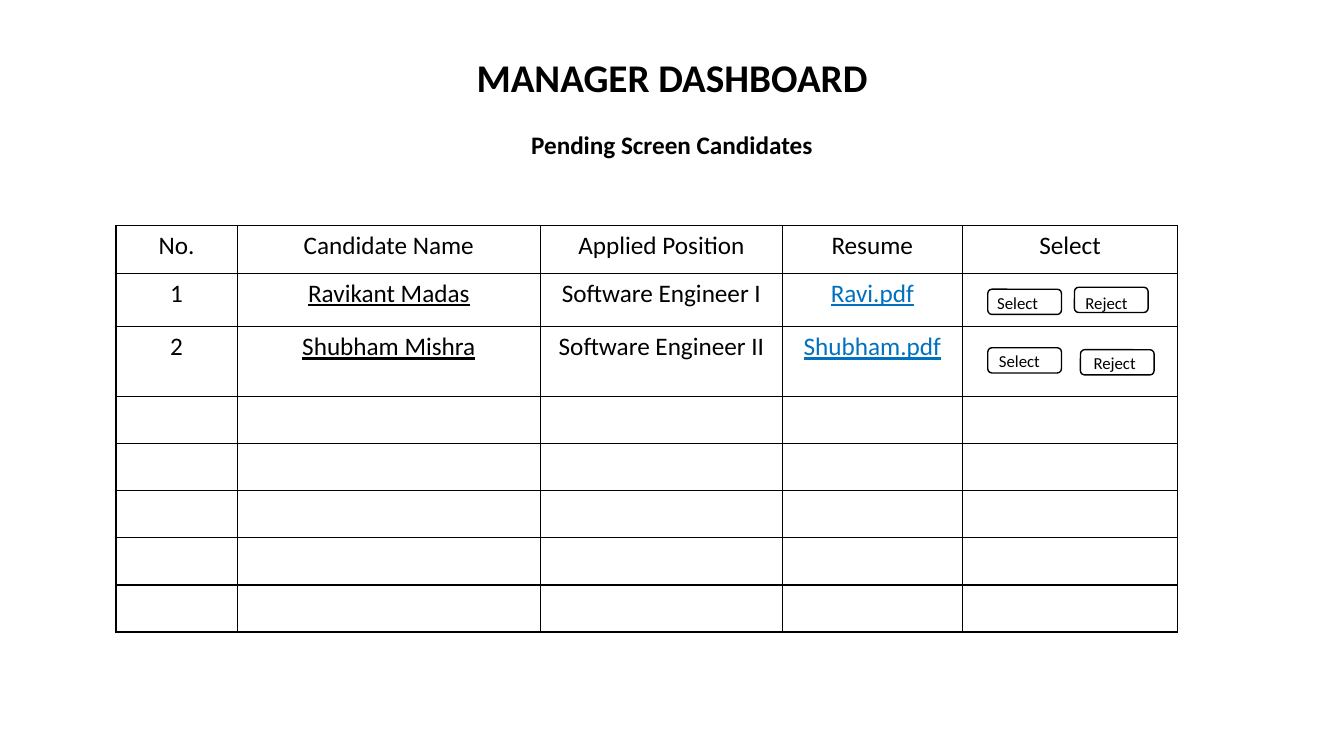
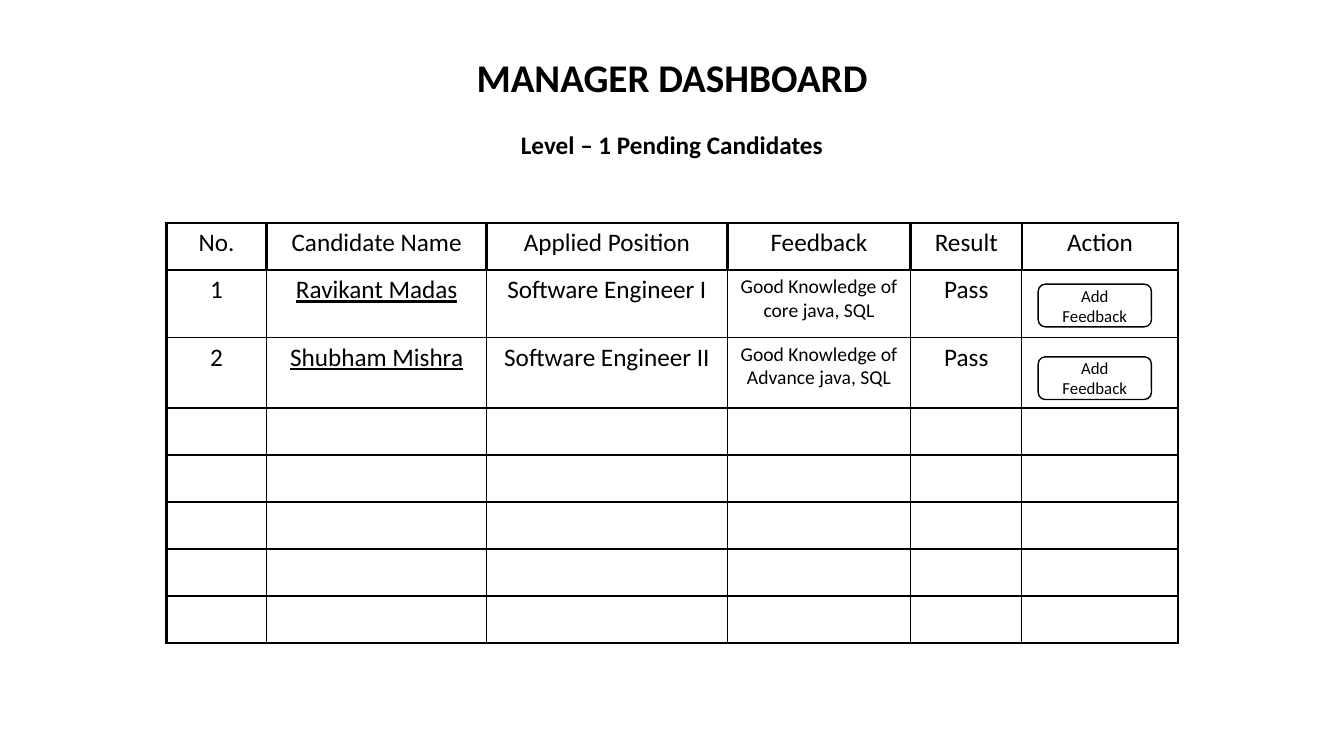
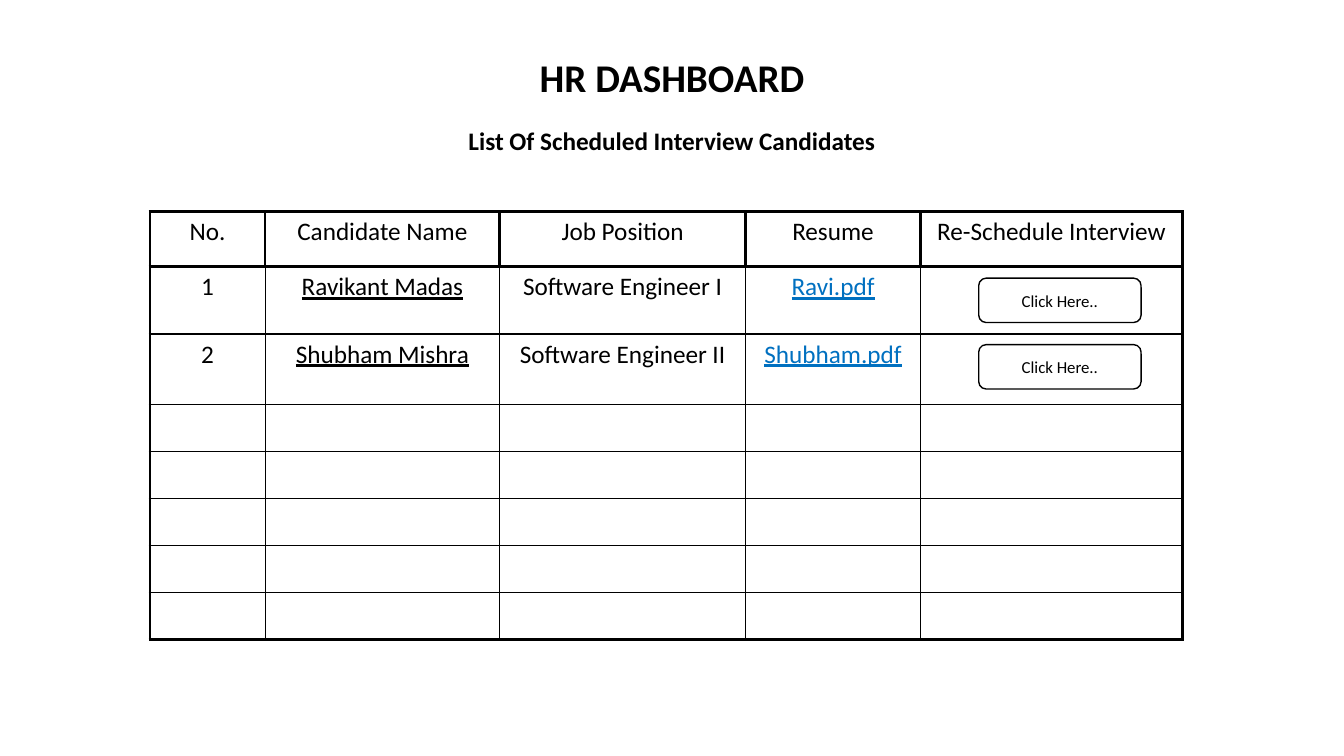
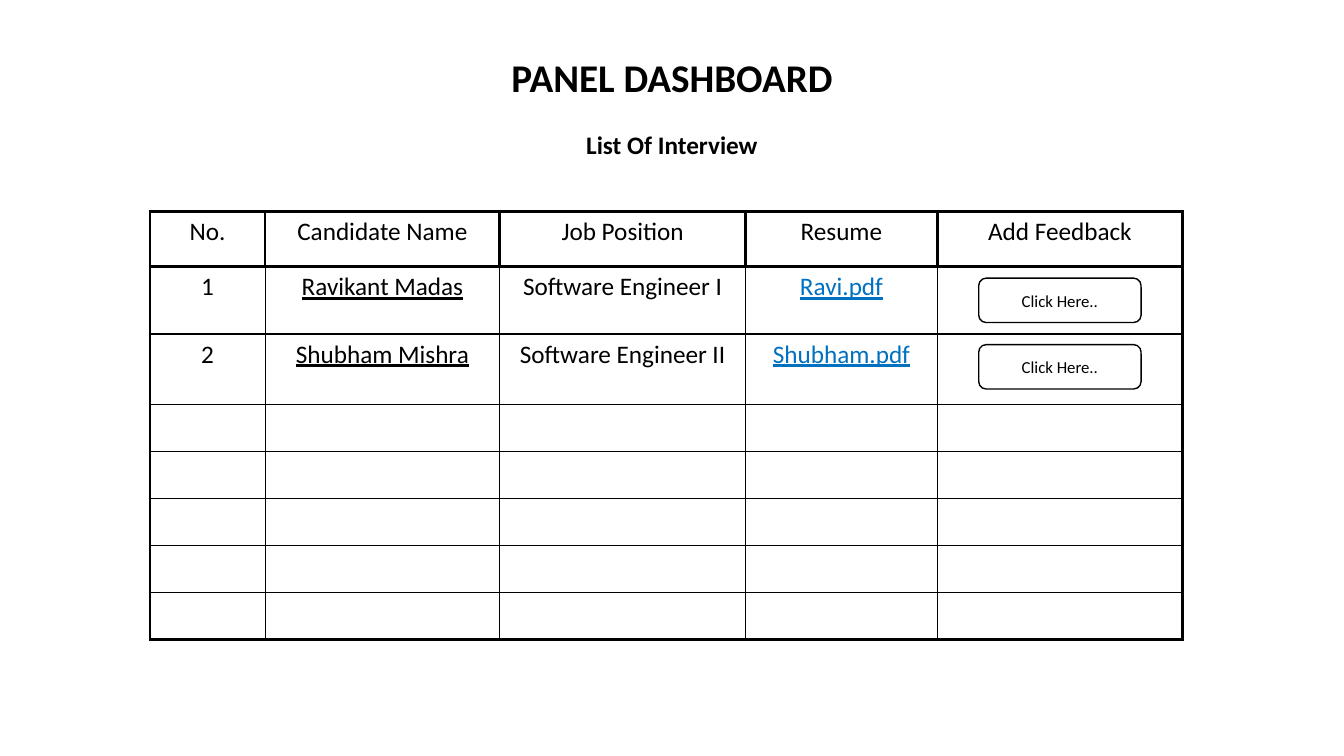
import dataclasses

import pptx
import pptx.dml.color
import pptx.enum.shapes
import pptx.enum.text
import pptx.oxml
import pptx.oxml.ns
import pptx.util

Pt = pptx.util.Pt
ALIGN = pptx.enum.text.PP_ALIGN
ANCHOR = pptx.enum.text.MSO_ANCHOR


@dataclasses.dataclass(frozen=True)
class Theme:
    font: str = "Calibri"
    ink: str = "000000"
    paper: str = "FFFFFF"
    link: str = "0070C0"
    title: float = 28
    body: float = 18
    feedback: float = 14
    button: float = 12
    thin: float = 1
    thick: float = 2.25
    width: float = 960
    height: float = 540


THEME = Theme()
COLUMN_FORMATS = {
    "Candidate Name": {"underline": True},
    "Resume": {"underline": True, "color": THEME.link},
    "Feedback": {"size": THEME.feedback},
}
CANDIDATES = [
    ["1", "Ravikant Madas", "Software Engineer I"],
    ["2", "Shubham Mishra", "Software Engineer II"],
]
RESUMES = [["Ravi.pdf"], ["Shubham.pdf"]]
FEEDBACK = [
    ["Good Knowledge of core java, SQL", "Pass"],
    ["Good Knowledge of Advance java, SQL", "Pass"],
]
EMPTY_ROWS = 5
EMPTY_ROW_HEIGHT = 33.6


def rgb(code):
    return pptx.dml.color.RGBColor.from_string(code)


def points(*lengths):
    return [Pt(length) for length in lengths]


def write_text(frame, text, size=THEME.body, color=THEME.ink, bold=False,
               underline=False, align=ALIGN.CENTER):
    paragraph = frame.paragraphs[0]
    paragraph.alignment = align
    run = paragraph.add_run()
    run.text = text
    run.font.name = THEME.font
    run.font.size = Pt(size)
    run.font.color.rgb = rgb(color)
    run.font.bold = bold
    run.font.underline = underline


def add_label(slide, box, text, **text_format):
    frame = slide.shapes.add_textbox(*points(*box)).text_frame
    frame.word_wrap = True
    frame.auto_size = pptx.enum.text.MSO_AUTO_SIZE.SHAPE_TO_FIT_TEXT
    write_text(frame, text, **text_format)


def add_button(slide, box, text="", **text_format):
    button = slide.shapes.add_shape(
        pptx.enum.shapes.MSO_SHAPE.ROUNDED_RECTANGLE, *points(*box))
    button.shadow.inherit = False
    button.fill.solid()
    button.fill.fore_color.rgb = rgb(THEME.paper)
    button.line.color.rgb = rgb(THEME.ink)
    button.line.width = Pt(THEME.thin)
    button.text_frame.vertical_anchor = ANCHOR.MIDDLE
    if text:
        write_text(button.text_frame, text, size=THEME.button, **text_format)


def set_borders(cell, widths):
    properties = cell._tc.get_or_add_tcPr()
    for side, width in zip("LRTB", widths):
        properties.append(pptx.oxml.parse_xml(
            f'<a:ln{side} {pptx.oxml.ns.nsdecls("a")} w="{Pt(width)}">'
            f'<a:solidFill><a:srgbClr val="{THEME.ink}"/></a:solidFill>'
            f'</a:ln{side}>'))


def border_widths(row, column, last_row, last_column, framed):
    header = row == 0
    heavy_sides = [
        header or column == 0,
        header or column == last_column,
        row <= 1,
        header or row == last_row,
    ]
    return [THEME.thick if framed and heavy else THEME.thin
            for heavy in heavy_sides]


def add_candidate_table(slide, left, top, headers, widths, filled_heights,
                        entries, framed=True):
    heights = filled_heights + [EMPTY_ROW_HEIGHT] * EMPTY_ROWS
    table = slide.shapes.add_table(
        len(heights), len(widths),
        *points(left, top, sum(widths), sum(heights))).table
    table.first_row = False
    table.horz_banding = False
    for column, width in zip(table.columns, widths):
        column.width = Pt(width)
    for row, height in zip(table.rows, heights):
        row.height = Pt(height)
    for row in range(len(heights)):
        for column in range(len(headers)):
            cell = table.cell(row, column)
            set_borders(cell, border_widths(
                row, column, len(heights) - 1, len(headers) - 1, framed))
            cell.fill.background()
    for column, header in enumerate(headers):
        write_text(table.cell(0, column).text_frame, header)
    for row, entry in enumerate(entries, 1):
        for column, text in enumerate(entry):
            write_text(table.cell(row, column).text_frame, text,
                       **COLUMN_FORMATS.get(headers[column], {}))


def add_dashboard(deck, title, subtitle, subtitle_top=88.6, subtitle_width=249):
    slide = deck.slides.add_slide(deck.slide_layouts[6])
    for text, top, width, height, size in [
        (title, 34.6, 480, 41, THEME.title),
        (subtitle, subtitle_top, subtitle_width, 29, THEME.body),
    ]:
        add_label(slide, ((THEME.width - width) / 2, top, width, height),
                  text, size=size, bold=True)
    return slide


def join_entries(details):
    return [person + detail for person, detail in zip(CANDIDATES, details)]


def build_screening(deck):
    slide = add_dashboard(deck, "MANAGER DASHBOARD", "Pending Screen Candidates")
    add_candidate_table(
        slide, 82.8, 161.3,
        ["No.", "Candidate Name", "Applied Position", "Resume", "Select"],
        [86.6, 216.7, 172.8, 128.4, 154.1], [33.8, 38.2, 50.2],
        join_entries(RESUMES), framed=False)
    for left, top, text in [(705.6, 206.6, ""), (767.5, 205.2, ""),
                            (705.6, 248.4, "Select"), (771.8, 249.8, "")]:
        add_button(slide, (left, top, 52.6, 18), text, align=ALIGN.LEFT)
    for left, top, text in [(705.2, 205.2, "Select"), (768.2, 205.2, "Reject"),
                            (774, 248.6, "Reject")]:
        add_label(slide, (left, top, 73.4, 21.8), text,
                  size=THEME.button, align=ALIGN.LEFT)


def build_level_one(deck):
    slide = add_dashboard(deck, "MANAGER DASHBOARD", "Level – 1 Pending Candidates")
    add_candidate_table(
        slide, 118.8, 159.2,
        ["No.", "Candidate Name", "Applied Position", "Feedback", "Result", "Action"],
        [71.8, 157, 172, 131, 79.4, 111.6], [33.6, 48.2, 50.4],
        join_entries(FEEDBACK))
    for top in (203, 254.9):
        add_button(slide, (741.6, top, 80.9, 30.5), "Add Feedback")


def build_interviews(deck, title, subtitle, action, resume_width, action_width,
                     **subtitle_place):
    slide = add_dashboard(deck, title, subtitle, **subtitle_place)
    add_candidate_table(
        slide, 107.2, 151.2,
        ["No.", "Candidate Name", "Job Position", "Resume", action],
        [82.2, 167.6, 175.6, resume_width, action_width], [39.2, 48.2, 50.4],
        join_entries(RESUMES))
    for top in (198.7, 246.2):
        add_button(slide, (699.1, top, 116, 31.7), "Click Here..")


def main():
    deck = pptx.Presentation()
    deck.slide_width, deck.slide_height = points(THEME.width, THEME.height)
    build_screening(deck)
    build_level_one(deck)
    build_interviews(deck, "HR DASHBOARD", "List Of Scheduled Interview Candidates",
                     "Re-Schedule Interview", 125, 187.2,
                     subtitle_top=86, subtitle_width=340)
    build_interviews(deck, "PANEL DASHBOARD", "List Of Interview",
                     "Add Feedback", 137, 175.2)
    deck.save("out.pptx")


if __name__ == "__main__":
    main()
